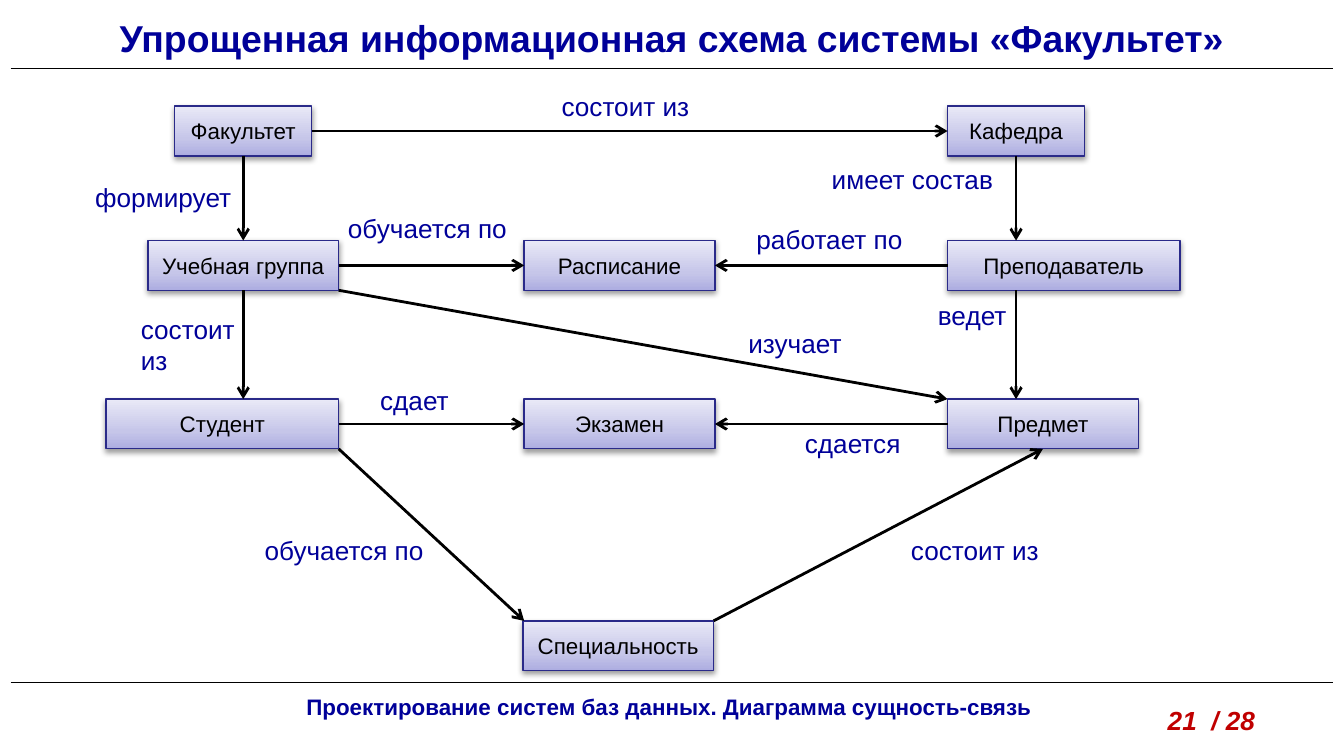
import copy

import lxml.etree
import pptx
import pptx.dml.color
import pptx.enum.shapes
import pptx.enum.text
import pptx.oxml.ns
import pptx.util

Inches = pptx.util.Inches
Pt = pptx.util.Pt
qn = pptx.oxml.ns.qn
CENTER = pptx.enum.text.PP_ALIGN.CENTER

TOP, LEFT, BOTTOM, RIGHT = range(4)
SLIDE_WIDTH = 10
BOX_HEIGHT = 0.37
NAVY = "000099"
BLACK = "000000"
GRADIENT = [(0, "ADADE1"), (0.35, "C6C6E9"), (1, "E9E9F7")]

ENTITIES = [
    ("Факультет", 1.3, 0.79, 1.02),
    ("Кафедра", 7.05, 0.79, 1.02),
    ("Преподаватель", 7.05, 1.79, 1.73),
    ("Расписание", 3.9, 1.79, 1.42),
    ("Учебная группа", 1.1, 1.79, 1.42),
    ("Предмет", 7.05, 2.97, 1.42),
    ("Экзамен", 3.9, 2.97, 1.42),
    ("Студент", 0.79, 2.97, 1.73),
    ("Специальность", 3.89, 4.62, 1.42),
]

RELATIONS = [
    (("Факультет", RIGHT), ("Кафедра", LEFT)),
    (("Кафедра", BOTTOM), (7.56, 1.79)),
    (("Преподаватель", LEFT), ("Расписание", RIGHT)),
    (("Учебная группа", RIGHT), ("Расписание", LEFT)),
    (("Факультет", BOTTOM), ("Учебная группа", TOP)),
    ((2.52, 2.16), (7.05, 2.97)),
    ((7.56, 2.16), (7.56, 2.97)),
    (("Предмет", LEFT), ("Экзамен", RIGHT)),
    (("Студент", RIGHT), ("Экзамен", LEFT)),
    ((2.52, 3.34), (3.9, 4.62)),
    ((5.31, 4.62), ("Предмет", BOTTOM)),
    (("Учебная группа", BOTTOM), (1.81, 2.97)),
]

LABELS = [
    (["состоит из"], 4.08, 0.62, 1.16),
    (["формирует"], 0.61, 1.3, 1.22),
    (["имеет состав"], 6.09, 1.17, 1.44),
    (["обучается по"], 2.49, 1.53, 1.39),
    (["работает по"], 5.53, 1.61, 1.29),
    (["ведет"], 6.88, 2.18, 0.71),
    (["изучает"], 5.47, 2.39, 0.9),
    (["сдает"], 2.73, 2.81, 0.71),
    (["сдается"], 5.89, 3.13, 0.92),
    (["состоит", "из"], 0.95, 2.28, 0.9),
    (["обучается по"], 1.87, 3.93, 1.39),
    (["состоит из"], 6.68, 3.93, 1.16),
]


def rgb(value):
    """Turn a hex string into a colour."""
    return pptx.dml.color.RGBColor.from_string(value)


def write(tf, lines, size, color, align=None, bold=False, italic=False):
    """Write one paragraph per line into a text frame."""
    for i, line in enumerate(lines):
        p = tf.paragraphs[0] if i == 0 else tf.add_paragraph()
        p.alignment = align
        r = p.add_run()
        r.text = line
        r.font.name = "Arial"
        r.font.size = Pt(size)
        r.font.bold = bold
        r.font.italic = italic
        r.font.color.rgb = rgb(color)


def add_text(s, lines, left, top, width, height, size, color=NAVY, wrap=True, **style):
    """Add a text box."""
    sp = s.shapes.add_textbox(Inches(left), Inches(top), Inches(width), Inches(height))
    tf = sp.text_frame
    tf.word_wrap = wrap
    write(tf, lines, size, color, **style)


def add_shadow(sp):
    """Give a shape a soft shadow below it."""
    sp.shadow.inherit = False
    effects = sp._element.spPr.find(qn("a:effectLst"))
    outer = lxml.etree.SubElement(
        effects, qn("a:outerShdw"), blurRad=str(Pt(3.1)), dist=str(Pt(1.6)),
        dir="5400000", rotWithShape="0")
    color = lxml.etree.SubElement(outer, qn("a:srgbClr"), val=BLACK)
    lxml.etree.SubElement(color, qn("a:alpha"), val="38000")


def add_entity(s, name, left, top, width):
    """Add the box of an entity and return it."""
    sp = s.shapes.add_shape(
        pptx.enum.shapes.MSO_SHAPE.RECTANGLE,
        Inches(left), Inches(top), Inches(width), Inches(BOX_HEIGHT))
    sp.fill.gradient()
    sp.fill.gradient_angle = 90
    first = sp._element.spPr.find(".//" + qn("a:gs"))
    first.addnext(copy.deepcopy(first))
    for stop, (position, color) in zip(sp.fill.gradient_stops, GRADIENT):
        stop.position = position
        stop.color.rgb = rgb(color)
    sp.line.color.rgb = rgb("2A2A89")
    sp.line.width = Pt(0.75)
    add_shadow(sp)
    tf = sp.text_frame
    tf.word_wrap = True
    tf.vertical_anchor = pptx.enum.text.MSO_ANCHOR.MIDDLE
    write(tf, [name], 12, BLACK, CENTER)
    return sp


def add_line(s, begin, end, width):
    """Add a straight black line between two points and return it."""
    cx = s.shapes.add_connector(pptx.enum.shapes.MSO_CONNECTOR.STRAIGHT, *begin, *end)
    cx.line.color.rgb = rgb(BLACK)
    cx.line.width = Pt(width)
    lxml.etree.SubElement(cx._element.spPr, qn("a:effectLst"))
    return cx


def locate(boxes, end):
    """Return the point of a line end given as a box side or as a position."""
    if end[0] not in boxes:
        return Inches(end[0]), Inches(end[1])
    name, side = end
    sp = boxes[name]
    dx, dy = [(0.5, 0), (0, 0.5), (0.5, 1), (1, 0.5)][side]
    return int(sp.left + sp.width * dx), int(sp.top + sp.height * dy)


def add_relation(s, boxes, begin, end):
    """Add an arrow and join it to the boxes it names."""
    cx = add_line(s, locate(boxes, begin), locate(boxes, end), 1.5)
    ln = cx._element.spPr.find(qn("a:ln"))
    lxml.etree.SubElement(ln, qn("a:tailEnd"), type="arrow")
    for connect, (name, side) in ((cx.begin_connect, begin), (cx.end_connect, end)):
        if name in boxes:
            connect(boxes[name], side)


def main():
    """Build the slide and save it."""
    prs = pptx.Presentation()
    prs.slide_width = Inches(SLIDE_WIDTH)
    prs.slide_height = Inches(SLIDE_WIDTH * 9 / 16)
    s = prs.slides.add_slide(prs.slide_layouts[6])

    add_text(s, ["Проектирование систем баз данных. Диаграмма сущность-связь"],
             1.25, 5.11, 7.46, 0.3, 12, align=CENTER, bold=True)
    for y in (5.08, 0.51):
        add_line(s, (Inches(0.08), Inches(y)), (Inches(9.92), Inches(y)), 0.75)
    add_text(s, ["21  / 28"], 8.59, 5.19, 1.02, 0.34, 14, "C00000", bold=True, italic=True)
    add_text(s, ["Упрощенная информационная схема системы «Факультет»"],
             0, 0.06, SLIDE_WIDTH, 0.45, 20, align=CENTER, bold=True)

    boxes = {entity[0]: add_entity(s, *entity) for entity in ENTITIES}
    for begin, end in RELATIONS:
        add_relation(s, boxes, begin, end)
    for lines, left, top, width in LABELS:
        height = 0.11 + 0.23 * len(lines)
        add_text(s, lines, left, top, width, height, 14, wrap=False)

    prs.save("out.pptx")


if __name__ == "__main__":
    main()
